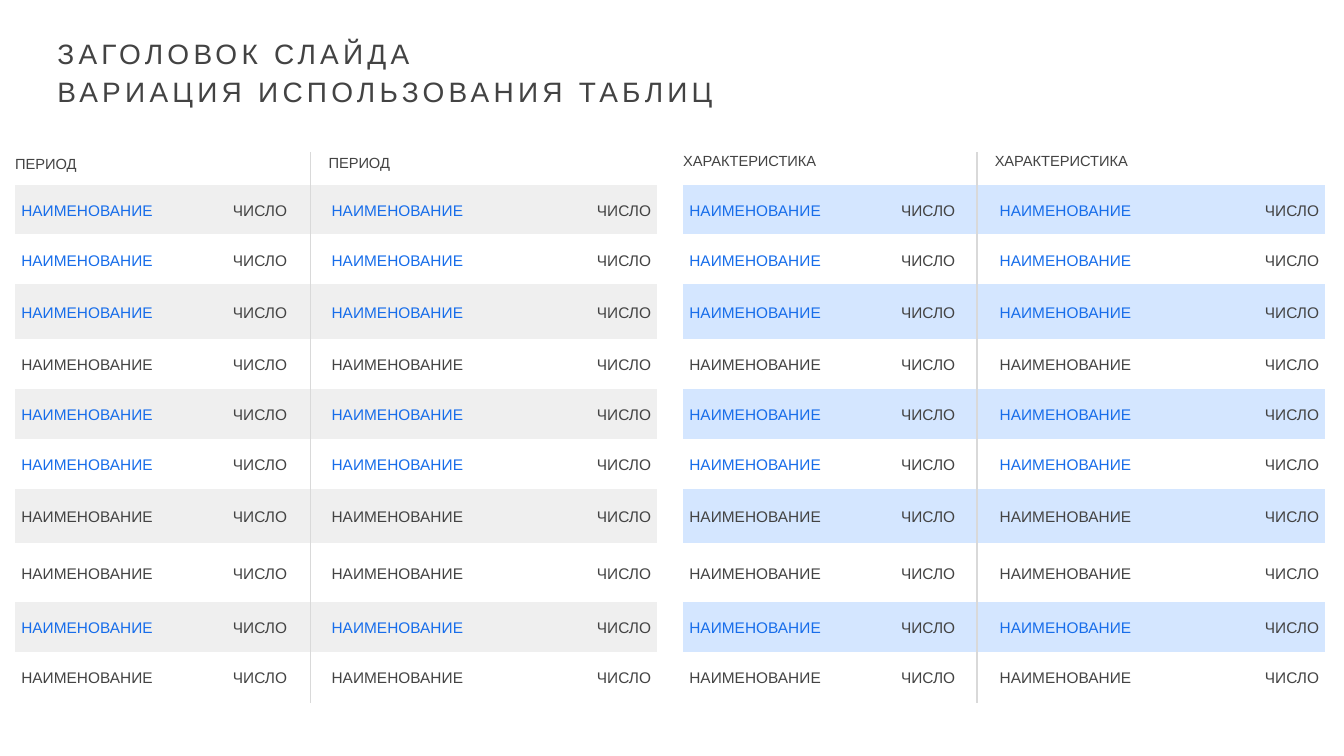
from lxml.etree import SubElement as Sub
from pptx import Presentation
from pptx.dml.color import RGBColor
from pptx.enum.shapes import MSO_CONNECTOR as Conn
from pptx.enum.text import MSO_ANCHOR as Anchor, PP_ALIGN as Align
from pptx.oxml.ns import qn
from pptx.util import Pt

DARK = RGBColor(0x43, 0x43, 0x43)
BLUE = RGBColor(0x17, 0x6D, 0xEA)
GRAY = RGBColor(0xEF, 0xEF, 0xEF)
PALE = RGBColor(0xD4, 0xE6, 0xFF)
RULE = RGBColor(0xD9, 0xD9, 0xD9)
WHITE = RGBColor(0xFF, 0xFF, 0xFF)

PLAIN = "{2D5ABB26-0587-4C30-8999-92F81FD0307C}"  # table style without lines
LOW, MID, HIGH = 35.6, 39.2, 41.7
ROWS = [LOW, LOW, MID, LOW, LOW, LOW, MID, HIGH, LOW, LOW]
BLUE_ROWS = {0, 1, 2, 4, 5, 8}
STRIPES = {0, 2, 4, 6, 8}
NAME, COUNT = "НАИМЕНОВАНИЕ", "ЧИСЛО"
TOP, LABEL_TOP, BOTTOM = 131.9, 108.7, 502


class Deck:
    font = "Arial"
    leading = 1.15

    def __init__(self, slide):
        self.slide = slide

    def style(self, para, size, color=DARK, align=Align.LEFT):
        para.alignment = align
        para.font.name = self.font
        para.font.size = Pt(size)
        para.font.color.rgb = color

    def frame(self, box, text):
        """Fill a box with text that has no insets and starts at the top."""
        frame = box.text_frame
        frame.text = text
        frame.word_wrap = True
        frame.vertical_anchor = Anchor.TOP
        frame.margin_left = frame.margin_right = 0
        frame.margin_top = frame.margin_bottom = 0
        return frame.paragraphs

    def title(self, text, left, top, width, height):
        box = self.slide.shapes.title
        box.left, box.top = Pt(left), Pt(top)
        box.width, box.height = Pt(width), Pt(height)
        for para in self.frame(box, text):
            self.style(para, 20)
            para.line_spacing = self.leading
            para.space_before = Pt(0)
            for run in para.runs:
                run.font._element.set("spc", "300")

    def label(self, text, left, top, width, height):
        box = self.slide.shapes.add_textbox(
            Pt(left), Pt(top), Pt(width), Pt(height))
        self.style(self.frame(box, text)[0], 10.5)

    def rule(self, x):
        line = self.slide.shapes.add_connector(
            Conn.STRAIGHT, Pt(x), Pt(BOTTOM), Pt(x), Pt(LABEL_TOP))
        line.line.color.rgb = RULE
        line.line.width = Pt(1.25)
        Sub(line._element.spPr, qn("a:effectLst"))

    def cell(self, cell, text, color, fill):
        if fill is None:
            cell.fill.background()
        else:
            cell.fill.solid()
            cell.fill.fore_color.rgb = fill
        cell.vertical_anchor = Anchor.MIDDLE
        cell.margin_top = cell.margin_bottom = Pt(3)
        named = text == NAME
        cell.margin_left = Pt(4.4 if named else 2.2)
        cell.margin_right = Pt(2.2 if named else 4.4)
        cell.text = text
        para = cell.text_frame.paragraphs[0]
        para.line_spacing = self.leading
        self.style(para, 11, color, Align.LEFT if named else Align.RIGHT)

    def table(self, left, widths, stripe, base):
        """Draw a striped table; base fills the rows between the stripes."""
        table = self.slide.shapes.add_table(
            len(ROWS), len(widths), Pt(left), Pt(TOP),
            Pt(sum(widths)), Pt(sum(ROWS))).table
        table.first_row = table.horz_banding = False
        table._tbl.tblPr.find(qn("a:tableStyleId")).text = PLAIN
        for col, width in zip(table.columns, widths):
            col.width = Pt(width)
        for r, height in enumerate(ROWS):
            table.rows[r].height = Pt(height)
            fill = stripe if r in STRIPES else base
            for c, text in enumerate([NAME, COUNT, "", NAME, COUNT]):
                blue = text == NAME and r in BLUE_ROWS
                self.cell(table.cell(r, c), text, BLUE if blue else DARK, fill)


def main():
    prs = Presentation()
    prs.slide_width, prs.slide_height = Pt(960), Pt(540)
    deck = Deck(prs.slides.add_slide(prs.slide_layouts[5]))
    deck.title("ЗАГОЛОВОК СЛАЙДА\nВАРИАЦИЯ ИСПОЛЬЗОВАНИЯ ТАБЛИЦ",
               41, 22.3, 643, 55.4)

    deck.table(10.8, [136.8, 61.9, 23, 148, 89], GRAY, None)
    deck.rule(221.8)
    deck.label("ПЕРИОД", 10.8, 110.9, 75, 13.7)
    deck.label("ПЕРИОД", 234.7, 110, 75, 13.7)

    deck.table(488, [136.8, 61.9, 23, 122.5, 114.5], PALE, WHITE)
    deck.rule(697.8)
    for left in (710.6, 488):
        deck.label("ХАРАКТЕРИСТИКА", left, LABEL_TOP, 124.6, 15.8)

    prs.save("out.pptx")


if __name__ == "__main__":
    main()
